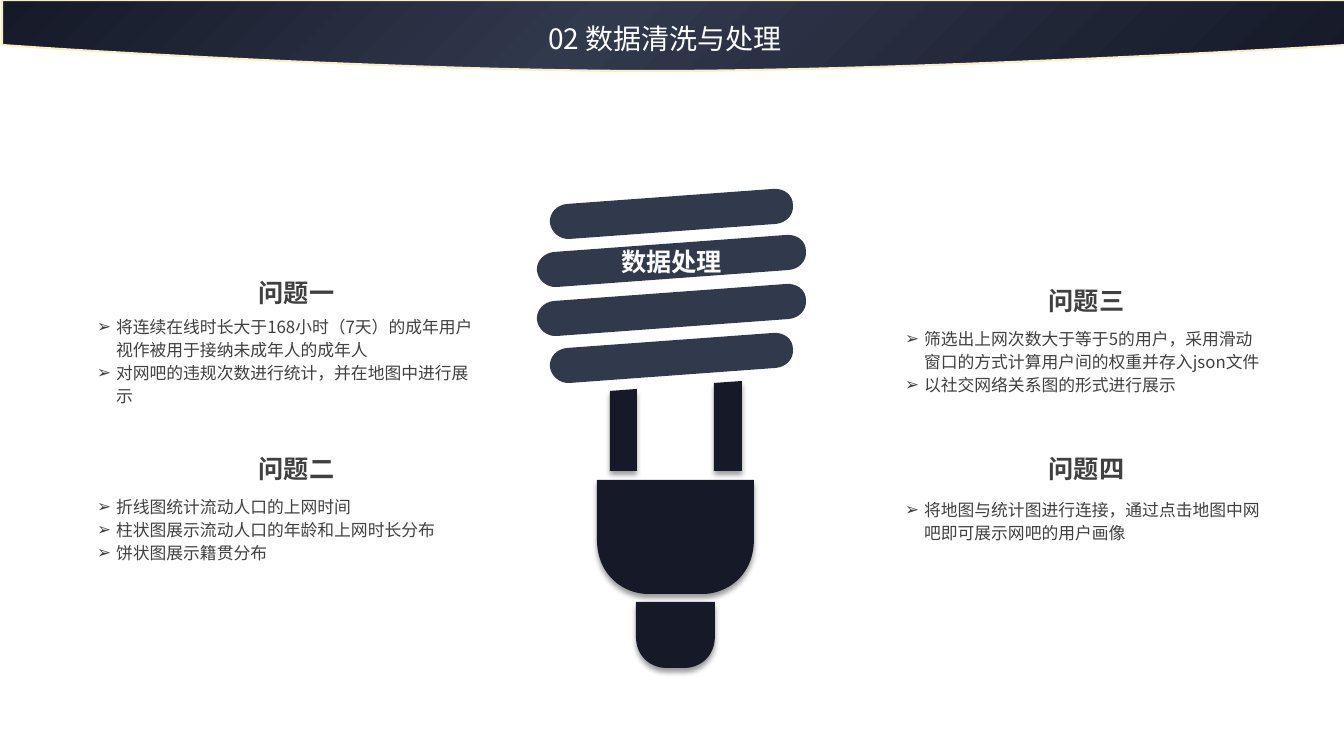
from dataclasses import dataclass

from lxml import etree
from pptx import Presentation
from pptx import util as u
from pptx.dml.color import RGBColor
from pptx.enum import text
from pptx.oxml import ns

EMU_PER_PX = 914400 / 100.8


@dataclass(frozen=True)
class Theme:
    font: str = "Noto Sans CJK SC"
    bullet_font: str = "Arial"
    navy: str = "151928"
    slate: str = "31394D"
    body: str = "404040"
    white: str = "FFFFFF"
    trim: str = "F8EFC4"
    title_size: int = 20
    heading_size: int = 18
    body_size: int = 12
    body_leading: float = 16.4


def px(length):
    return u.Emu(round(length * EMU_PER_PX))


def add_xml(parent, tag, **attributes):
    return etree.SubElement(parent, ns.qn(tag), {k: str(v) for k, v in attributes.items()})


def write(para, words, *, font, size, color, bold=False, align=text.PP_ALIGN.LEFT, leading=None):
    """Put one formatted span of words into a paragraph."""
    para.alignment = align
    para.space_before = u.Pt(0)
    if leading:
        para.line_spacing = u.Pt(leading)
    span = para.add_run()
    span.text = words
    span.font.name, span.font.size, span.font.bold = font, u.Pt(size), bold
    span.font.color.rgb = RGBColor.from_string(color)
    add_xml(span.font._element, "a:ea", typeface=font)


def nodes(contour):
    """List every point of a contour, the handles of its curves included."""
    return [(px(part[i]), px(part[i + 1])) for part in contour for i in range(0, len(part), 2)]


def bend(shape, contours):
    """Join each three lines that stand for a cubic curve (x1, y1, x2, y2, x, y)."""
    lines = list(shape.element.iter(ns.qn("a:lnTo")))
    for part in (part for contour in contours for part in contour[1:]):
        taken, lines = lines[:len(part) // 2], lines[len(part) // 2:]
        if len(taken) == 3:
            curve = etree.Element(ns.qn("a:cubicBezTo"))
            taken[0].addprevious(curve)
            for line in taken:
                curve.append(line[0])
                line.getparent().remove(line)


def tube(left, right, top, rise):
    """Slanted bar with round ends."""
    return [(right, top + 16),
            (right + 1, top + 26, right - 7, top + 34, right - 17, top + 35),
            (left + 20, top + rise + 35),
            (left + 10, top + rise + 36, left + 1, top + rise + 28, left, top + rise + 19),
            (left - 1, top + rise + 9, left + 7, top + rise + 1, left + 17, top + rise),
            (right - 20, top),
            (right - 9, top - 1, right, top + 6, right, top + 16)]


def cup(left, right, top, side, bottom, corner):
    """Block with a flat top and round lower corners."""
    turn = side + (bottom - side) * 0.7
    return [(left, top), (left, side),
            (left, turn, left + corner * 0.57, bottom, left + corner, bottom),
            (right - corner, bottom),
            (right - corner * 0.57, bottom, right, turn, right, side),
            (right, top)]


class SlideBuilder:
    def __init__(self, deck, theme):
        self.theme = theme
        self.page = deck.slides.add_slide(deck.slide_layouts.get_by_name("Comparison"))

    def frame(self, box, left, top, width, height):
        box.left, box.top, box.width, box.height = map(px, (left, top, width, height))
        frame = box.text_frame
        frame.word_wrap = True
        frame.auto_size = text.MSO_AUTO_SIZE.NONE
        frame.vertical_anchor = text.MSO_ANCHOR.TOP
        return frame

    def outline(self, contours, color):
        first, *others = [nodes(contour) for contour in contours]
        builder = self.page.shapes.build_freeform(*first[0], scale=1.0)
        builder.add_line_segments(first[1:], close=True)
        for points in others:
            builder.move_to(*points[0])
            builder.add_line_segments(points[1:], close=True)
        shape = builder.convert_to_shape()
        bend(shape, contours)
        shape.shadow.inherit = False
        shape.fill.solid()
        shape.fill.fore_color.rgb = RGBColor.from_string(color)
        shape.line.fill.background()
        return shape

    def drop_shadow(self, shape):
        effects = shape.element.spPr.find(ns.qn("a:effectLst"))
        shadow = add_xml(effects, "a:outerShdw", blurRad=u.Pt(4), dist=u.Pt(3),
                         dir=5400000, algn="t", rotWithShape=0)
        add_xml(add_xml(shadow, "a:srgbClr", val="000000"), "a:alpha", val=40000)

    def banner(self, contour):
        shape = self.outline([contour], self.theme.navy)
        shape.line.color.rgb = RGBColor.from_string(self.theme.trim)
        shape.line.width = u.Pt(1.5)
        shape.fill.gradient()
        gradient = shape.element.spPr.find(ns.qn("a:gradFill"))
        for child in list(gradient):
            gradient.remove(child)
        stops = add_xml(gradient, "a:gsLst")
        for position, color in ((0, self.theme.navy), (44, self.theme.slate),
                                (100, self.theme.navy)):
            add_xml(add_xml(stops, "a:gs", pos=position * 1000), "a:srgbClr", val=color)
        add_xml(gradient, "a:lin", ang=2700000, scaled=0)

    def title(self, words, *place):
        box = self.page.shapes.title
        box.element.getparent().append(box.element)  # in front of the banner
        write(self.frame(box, *place).paragraphs[0], words, font=self.theme.font,
              size=self.theme.title_size, color=self.theme.white, align=text.PP_ALIGN.JUSTIFY)

    def label(self, shape, words):
        frame = shape.text_frame
        frame.vertical_anchor = text.MSO_ANCHOR.MIDDLE
        write(frame.paragraphs[0], words, font=self.theme.font, size=self.theme.heading_size,
              color=self.theme.white, bold=True, align=text.PP_ALIGN.CENTER)

    def heading(self, words, *place):
        box = self.page.shapes.add_textbox(0, 0, 0, 0)
        write(self.frame(box, *place).paragraphs[0], words, font=self.theme.font,
              size=self.theme.heading_size, color=self.theme.body, bold=True,
              align=text.PP_ALIGN.CENTER)

    def bullets(self, slot, items, *place):
        frame = self.frame(self.page.placeholders[slot], *place)
        for index, item in enumerate(items):
            para = frame.add_paragraph() if index else frame.paragraphs[0]
            write(para, item, font=self.theme.font, size=self.theme.body_size,
                  color=self.theme.body, leading=self.theme.body_leading)
            props = para._p.get_or_add_pPr()
            props.set("marL", str(px(19)))
            props.set("indent", str(-px(19)))
            add_xml(props, "a:buFont", typeface=self.theme.bullet_font)
            add_xml(props, "a:buChar", char="➢")


def main():
    deck = Presentation()
    deck.slide_width, deck.slide_height = px(1344), px(756)
    theme = Theme()
    slide = SlideBuilder(deck, theme)

    # Bulb: four slanted tubes, the middle two wider
    spans = [(550, 793, 189, 15), (537, 806, 235, 17), (537, 806, 284, 17), (550, 793, 333, 15)]
    tubes = [slide.outline([tube(*span)], theme.slate) for span in spans]
    slide.label(tubes[1], "数据处理")

    # Bulb: prongs, socket and foot
    base = slide.outline([
        [(714, 383), (742, 381), (742, 471), (714, 471)],
        [(610, 391), (637, 389), (637, 471), (610, 471)],
        cup(597, 754, 480, 539, 594, 51),
        cup(636, 715, 602, 636, 668, 30),
    ], theme.navy)
    slide.drop_shadow(base)

    # Four questions: heading position, then list position and size
    questions = [
        ("问题一", 179, 272, (87, 309, 399, 103), [
            "将连续在线时长大于168小时（7天）的成年用户视作被用于接纳未成年人的成年人",
            "对网吧的违规次数进行统计，并在地图中进行展示"]),
        ("问题二", 179, 448, (87, 489, 377, 80), [
            "折线图统计流动人口的上网时间",
            "柱状图展示流动人口的年龄和上网时长分布",
            "饼状图展示籍贯分布"]),
        ("问题三", 969, 280, (895, 321, 381, 80), [
            "筛选出上网次数大于等于5的用户，采用滑动窗口的方式计算用户间的权重并存入json文件",
            "以社交网络关系图的形式进行展示"]),
        ("问题四", 969, 448, (895, 492, 377, 56), [
            "将地图与统计图进行连接，通过点击地图中网吧即可展示网吧的用户画像"]),
    ]
    for slot, (name, x, y, place, items) in enumerate(questions, start=1):
        slide.heading(name, x, y, 235, 40)
        slide.bullets(slot, items, *place)

    # Banner and title
    slide.banner([(2, 0), (1346, 0), (1346, 45),
                  (1220, 53, 877, 71, 652, 71), (428, 71, 111, 53, 2, 45)])
    slide.title("02 数据清洗与处理", 538, 16, 267, 44)

    deck.save("out.pptx")


if __name__ == "__main__":
    main()
